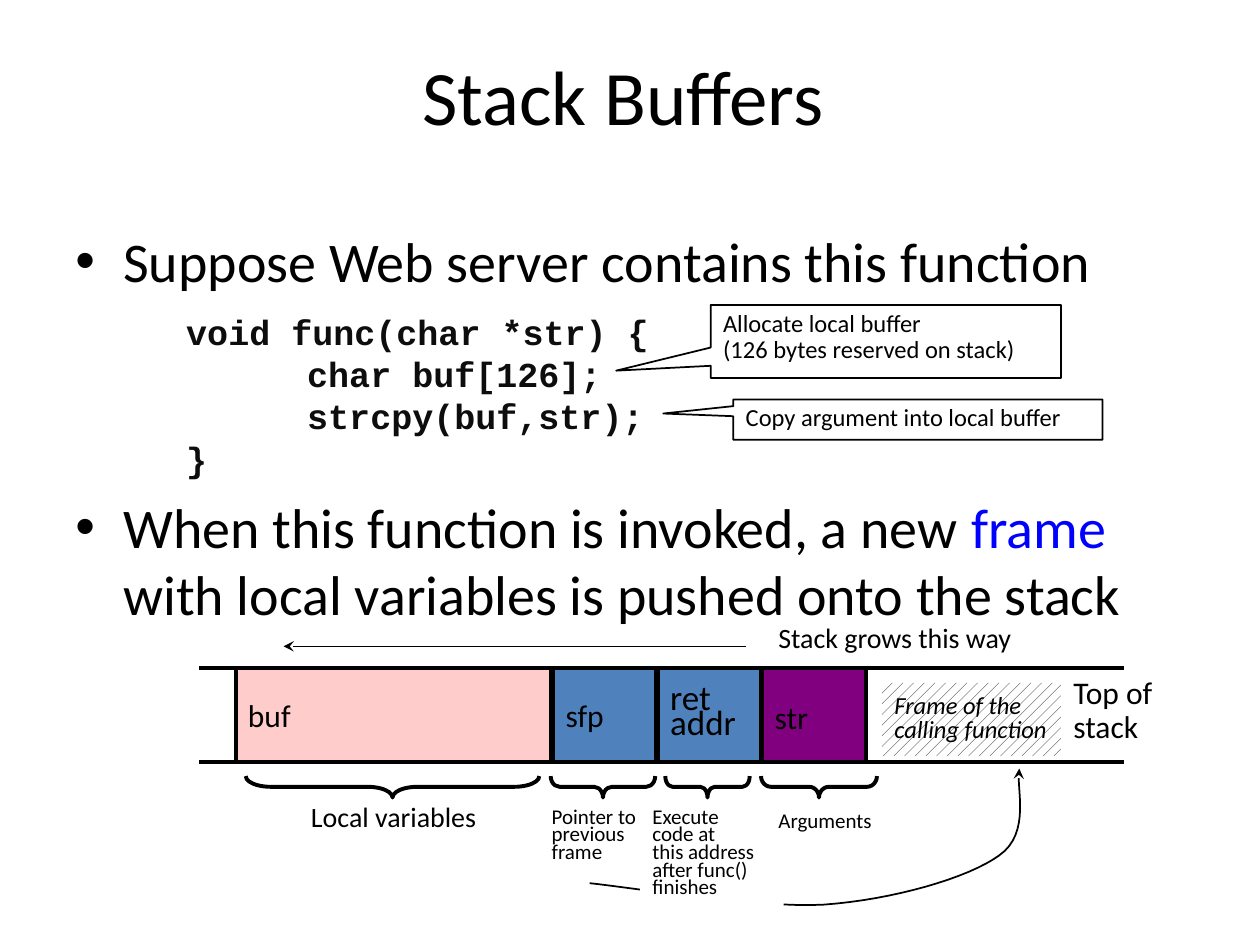
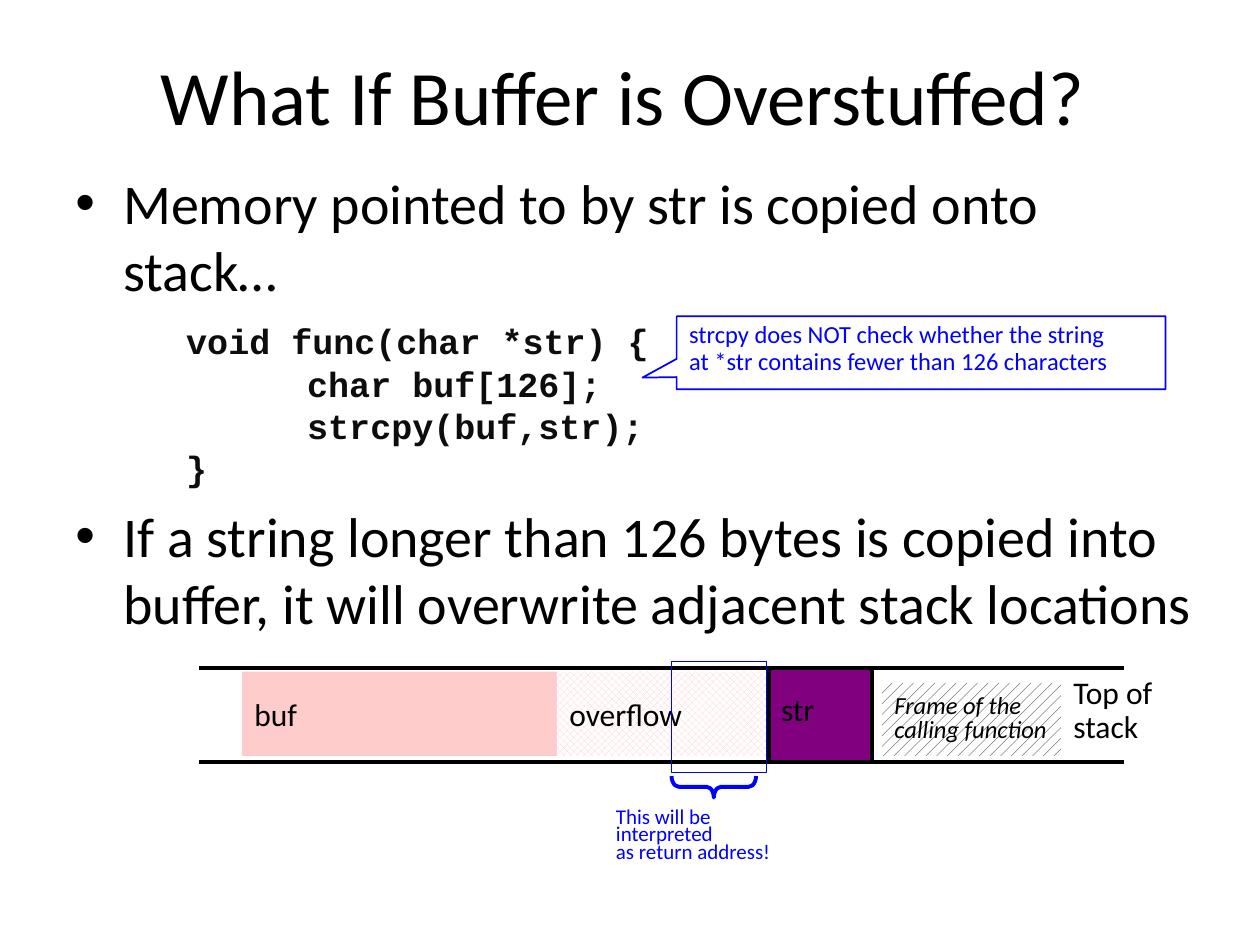
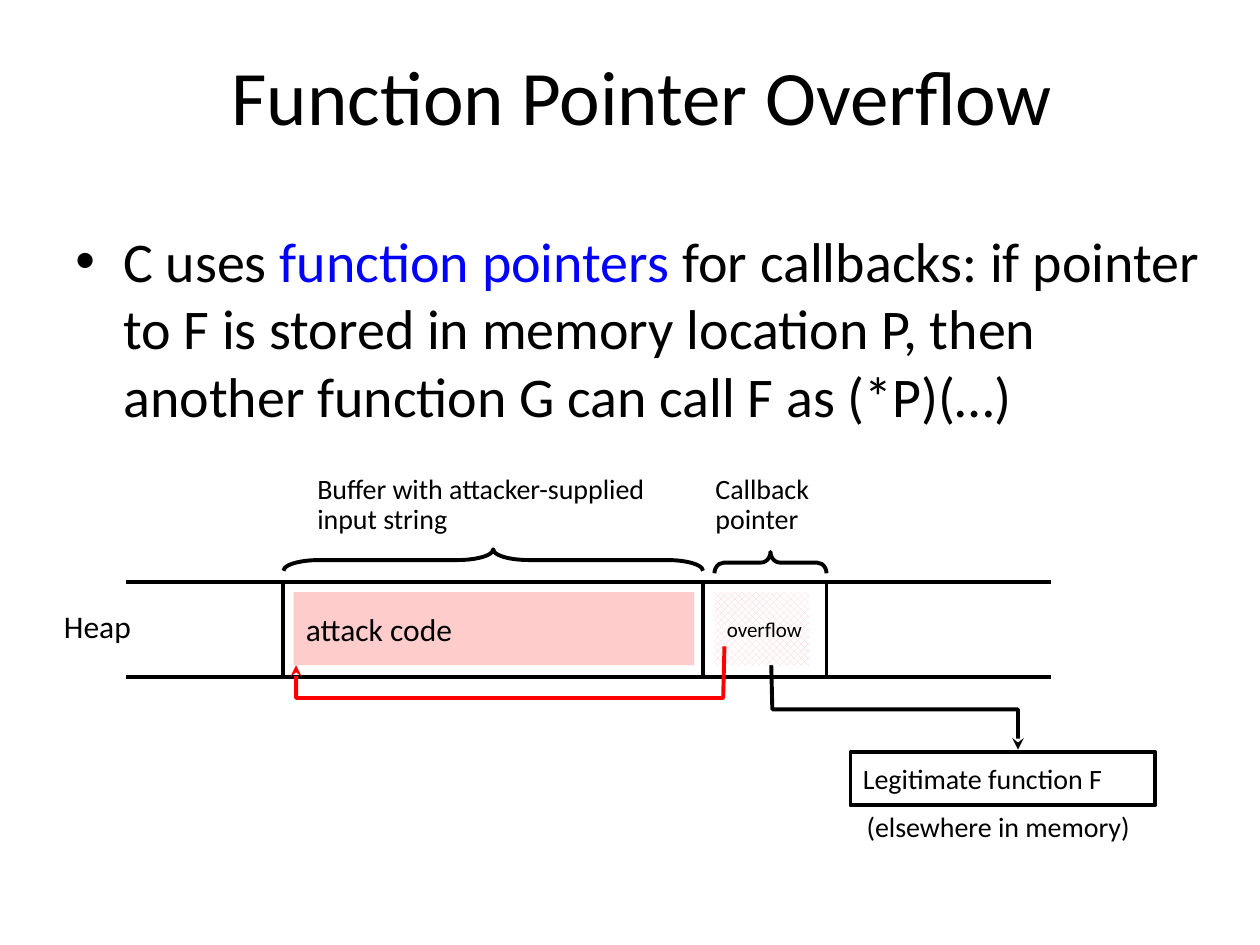
"""Build three slides on stack buffers, buffer overflow and function pointers."""
import dataclasses
import typing

import lxml.etree
import pptx
import pptx.dml.color
import pptx.enum.dml
import pptx.enum.shapes
import pptx.enum.text
import pptx.oxml.ns
import pptx.shapes.base
import pptx.slide
import pptx.util

Inches = pptx.util.Inches
Pt = pptx.util.Pt
qn = pptx.oxml.ns.qn
Shapes = pptx.enum.shapes.MSO_SHAPE
Patterns = pptx.enum.dml.MSO_PATTERN
Anchors = pptx.enum.text.MSO_ANCHOR
AutoSize = pptx.enum.text.MSO_AUTO_SIZE

BLACK, WHITE, BLUE, RED = "000000", "FFFFFF", "0000FF", "FF0000"
CODE_GREY, PINK, STEEL, PURPLE = "0D0D0D", "FFCCCC", "4F81BD", "800080"
BODY_FONT, CODE_FONT = "Calibri", "Courier New"
HEAVY = 2.25
BULLET_SIZE, CODE_SIZE = 32, 20
BULLET_INDENT = 0.38
CODE_INDENT, NESTED_INDENT = 0.88, 1.84
SPACE_BEFORE = 0.24
BRACE_DEPTH = 0.17
MEMORY_TOP, MEMORY_HEIGHT, MEMORY_WIDTH = 5.3, 0.75, 7.34
CELL_WIDTH = 0.82

Point = tuple[float, float]


@dataclasses.dataclass(frozen=True)
class Words:
    """A stretch of text with one look."""
    text: str
    color: str = BLACK
    size: float = BULLET_SIZE
    font: str = BODY_FONT
    bold: bool = False
    italic: bool = False


@dataclasses.dataclass(frozen=True)
class BodyLine:
    """A paragraph of the slide body."""
    words: tuple[Words, ...]
    indent: float = BULLET_INDENT
    spacing: float = 1.0
    bullet: bool = False


@dataclasses.dataclass(frozen=True)
class Label:
    """A text, box or callout of a memory diagram."""
    lines: tuple[str, ...]
    left: float
    top: float
    width: float
    height: float
    size: float = 18
    color: str = BLACK
    spacing: float = 1.0
    italic: bool = False
    fill: str | None = None
    pattern: typing.Any = None
    border: str | None = None
    weight: float = HEAVY
    pointer: Point | None = None
    grow: bool = False


@dataclasses.dataclass(frozen=True)
class Brace:
    """A lying brace, seen as it shows on the slide."""
    left: float
    top: float
    span: float
    color: str = BLACK
    opens_down: bool = False


def bullet(*words: Words) -> BodyLine:
    """Return a bulleted body line."""
    return BodyLine(words, bullet=True)


def code(text: str, indent: float, spacing: float = 0.8) -> BodyLine:
    """Return a line of source code."""
    return BodyLine((Words(text, CODE_GREY, CODE_SIZE, CODE_FONT, bold=True),), indent, spacing)


def caption(lines: tuple[str, ...], left: float, top: float, width: float, height: float,
            size: float = 16, spacing: float = 0.9, **look: typing.Any) -> Label:
    """Return a label that grows with its text."""
    return Label(lines, left, top, width, height, size, spacing=spacing, grow=True, **look)


def cell(lines: tuple[str, ...], left: float, fill: str, width: float = CELL_WIDTH,
         **look: typing.Any) -> Label:
    """Return a bordered cell that fills the height of the stack."""
    return Label(lines, left, MEMORY_TOP, width, MEMORY_HEIGHT, fill=fill, border=BLACK, **look)


FUNCTION_SOURCE = (
    code("void func(char *str) {", CODE_INDENT, 1.2),
    code("char buf[126];", NESTED_INDENT),
    code("strcpy(buf,str);", NESTED_INDENT),
    code("}", CODE_INDENT),
)
CALLING_FRAME = Label(("Frame of the", "calling function"), 7, 5.42, 1.42, 0.58, 14, spacing=0.8,
                      italic=True, fill=WHITE, pattern=(Patterns.PERCENT_20, BLACK))
STACK_TOP = caption(("Top of", "stack"), 8.42, 5.33, 0.91, 0.7, 18)
OVERFLOW_PATTERN = (Patterns.LARGE_CHECKER_BOARD, PINK)


def rgb(color: str) -> pptx.dml.color.RGBColor:
    """Turn a hex string into a colour."""
    return pptx.dml.color.RGBColor.from_string(color)


def add_words(paragraph: typing.Any, words: Words) -> None:
    """Add one formatted run."""
    run = paragraph.add_run()
    run.text = words.text
    run.font.name = words.font
    run.font.size = Pt(words.size)
    run.font.bold = words.bold
    run.font.italic = words.italic
    run.font.color.rgb = rgb(words.color)


def paragraphs(frame: typing.Any, count: int) -> list[typing.Any]:
    """Give a text frame the wanted number of paragraphs."""
    return [frame.paragraphs[0]] + [frame.add_paragraph() for _ in range(count - 1)]


def set_line(shape: typing.Any, color: str, weight: float, arrow: bool = False) -> None:
    """Style an outline, with an arrowhead at its end if asked."""
    shape.line.color.rgb = rgb(color)
    shape.line.width = Pt(weight)
    if arrow:
        outline = shape._element.spPr.find(qn("a:ln"))
        lxml.etree.SubElement(outline, qn("a:tailEnd"), type="stealth")


def add_title(slide: pptx.slide.Slide, text: str, width: float = 9.01) -> None:
    """Add the centred slide title."""
    frame = slide.shapes.add_textbox(Inches(0.44), Inches(0.25), Inches(width), Inches(1)).text_frame
    frame.word_wrap = True
    frame.vertical_anchor = Anchors.MIDDLE
    frame.paragraphs[0].alignment = pptx.enum.text.PP_ALIGN.CENTER
    add_words(frame.paragraphs[0], Words(text, size=44))


def add_body(slide: pptx.slide.Slide, lines: tuple[BodyLine, ...], top: float,
             width: float = 9.17, height: float = 5.08) -> None:
    """Add the bullets and source code of a slide."""
    frame = slide.shapes.add_textbox(Inches(0.5), Inches(top), Inches(width), Inches(height)).text_frame
    frame.word_wrap = True
    for index, (line, paragraph) in enumerate(zip(lines, paragraphs(frame, len(lines)))):
        paragraph.line_spacing = line.spacing
        paragraph.space_before = Pt(round(SPACE_BEFORE * line.words[0].size, 1) if index else 0)
        properties = paragraph._p.get_or_add_pPr()
        properties.set("marL", str(Inches(line.indent)))
        if line.bullet:
            properties.set("indent", str(-Inches(line.indent)))
            lxml.etree.SubElement(properties, qn("a:buFont"), typeface="Arial")
            lxml.etree.SubElement(properties, qn("a:buChar"), char="•")
        for words in line.words:
            add_words(paragraph, words)


def add_label(slide: pptx.slide.Slide, label: Label) -> None:
    """Draw a text, box or callout."""
    place = [Inches(v) for v in (label.left, label.top, label.width, label.height)]
    if label.fill or label.border:
        kind = Shapes.RECTANGULAR_CALLOUT if label.pointer else Shapes.RECTANGLE
        shape = slide.shapes.add_shape(kind, *place)
        shape.shadow.inherit = False
        for index, value in enumerate(label.pointer or ()):
            shape.adjustments[index] = value
        if label.pattern:
            shape.fill.patterned()
            shape.fill.pattern, ink = label.pattern
            shape.fill.fore_color.rgb = rgb(ink)
            shape.fill.back_color.rgb = rgb(label.fill)
        elif label.fill:
            shape.fill.solid()
            shape.fill.fore_color.rgb = rgb(label.fill)
        else:
            shape.fill.background()
        if label.border:
            set_line(shape, label.border, label.weight)
        else:
            shape.line.fill.background()
    else:
        shape = slide.shapes.add_textbox(*place)
    if not label.lines:
        return
    frame = shape.text_frame
    frame.word_wrap = False
    frame.auto_size = AutoSize.SHAPE_TO_FIT_TEXT if label.grow else AutoSize.NONE
    frame.vertical_anchor = Anchors.TOP if label.grow else Anchors.MIDDLE
    for text, paragraph in zip(label.lines, paragraphs(frame, len(label.lines))):
        paragraph.alignment = pptx.enum.text.PP_ALIGN.LEFT
        paragraph.line_spacing = label.spacing
        add_words(paragraph, Words(text, label.color, label.size, italic=label.italic))


def add_brace(slide: pptx.slide.Slide, brace: Brace) -> None:
    """Draw a right brace turned to lie along the memory."""
    shape = slide.shapes.add_shape(
        Shapes.RIGHT_BRACE,
        Inches(brace.left + (brace.span - BRACE_DEPTH) / 2),
        Inches(brace.top - (brace.span - BRACE_DEPTH) / 2),
        Inches(BRACE_DEPTH), Inches(brace.span))
    shape.rotation = 270 if brace.opens_down else 90
    shape.adjustments[0] = brace.span / 2
    shape.shadow.inherit = False
    shape.fill.background()
    set_line(shape, brace.color, HEAVY)


def add_straight(slide: pptx.slide.Slide, start: Point, end: Point,
                 weight: float = HEAVY, arrow: bool = False) -> None:
    """Draw a straight line or arrow."""
    connector = slide.shapes.add_connector(
        pptx.enum.shapes.MSO_CONNECTOR.STRAIGHT, *(Inches(v) for v in start + end))
    set_line(connector, BLACK, weight, arrow)
    lxml.etree.SubElement(connector._element.spPr, qn("a:effectLst"))


def add_route(slide: pptx.slide.Slide, points: list[Point], color: str = BLACK,
              weight: float = HEAVY) -> None:
    """Draw an open route that ends in an arrowhead."""
    corners = [(Inches(x), Inches(y)) for x, y in points]
    builder = slide.shapes.build_freeform(*corners[0])
    builder.add_line_segments(corners[1:], close=False)
    shape = builder.convert_to_shape()
    shape.shadow.inherit = False
    shape.fill.background()
    set_line(shape, color, weight, arrow=True)


def curve(start: Point, *bends: tuple[Point, Point, Point], steps: int = 16) -> list[Point]:
    """Return points along a chain of cubic curves."""
    points = [start]
    for first, second, end in bends:
        origin = points[-1]
        for step in range(1, steps + 1):
            t = step / steps
            weights = ((1 - t) ** 3, 3 * t * (1 - t) ** 2, 3 * t ** 2 * (1 - t), t ** 3)
            stops = (origin, first, second, end)
            points.append((sum(w * p[0] for w, p in zip(weights, stops)),
                           sum(w * p[1] for w, p in zip(weights, stops))))
    return points


def add_memory(slide: pptx.slide.Slide, left: float = 1.58, top: float = MEMORY_TOP) -> None:
    """Draw the two rails of a memory strip."""
    for y in (top, top + MEMORY_HEIGHT):
        add_straight(slide, (left, y), (left + MEMORY_WIDTH, y))


def add_parts(slide: pptx.slide.Slide, *parts: Label | Brace) -> None:
    """Draw labels and braces from back to front."""
    for part in parts:
        if isinstance(part, Brace):
            add_brace(slide, part)
        else:
            add_label(slide, part)


def build_stack_buffers(slide: pptx.slide.Slide) -> None:
    """Show the stack frame of a function."""
    add_route(slide, curve((4.68, 7.01),
                           ((4.99, 7.04), (6, 7.21), (6.54, 7.18)),
                           ((7.09, 7.14), (7.68, 6.97), (7.93, 6.79)),
                           ((8.19, 6.61), (8.06, 6.24), (8.09, 6.1))), weight=1)
    add_title(slide, "Stack Buffers")
    add_body(slide, (
        bullet(Words("Suppose Web server contains this function")),
        *FUNCTION_SOURCE,
        bullet(Words("When this function is invoked, a new "), Words("frame", BLUE),
               Words(" with local variables is pushed onto the stack")),
    ), 1.75)
    add_memory(slide)
    add_straight(slide, (5.92, 5.13), (2.25, 5.13), 1, arrow=True)
    add_parts(
        slide,
        caption(("Allocate local buffer", "(126 bytes reserved on stack)"), 5.64, 2.42, 2.78, 0.58,
                14, border=BLACK, weight=1, pointer=(-0.77, 0.4)),
        caption(("Copy argument into local buffer",), 5.82, 3.17, 2.93, 0.32,
                14, border=BLACK, weight=1, pointer=(-0.69, -0.15)),
        STACK_TOP,
        caption(("Stack grows this way",), 6.08, 4.91, 2.27, 0.34),
        cell(("buf",), 1.87, PINK, 2.5),
        cell(("sfp",), 4.39, STEEL),
        cell(("ret", "addr"), 5.22, STEEL, size=20, spacing=0.6),
        cell(("str",), 6.05, PURPLE, spacing=1.1),
        Brace(1.95, 6.16, 2.33),
        caption(("Local variables",), 2.37, 6.33, 1.64, 0.34),
        Brace(4.37, 6.16, 0.83),
        CALLING_FRAME,
        Brace(5.28, 6.16, 0.67),
        caption(("Execute", "code at", "this address", "after func()", "finishes"),
                5.08, 6.38, 1.14, 0.96, 12, 0.7, fill=WHITE),
        Brace(6.04, 6.16, 0.92),
        caption(("Arguments",), 6.08, 6.38, 1, 0.28, 12),
        caption(("Pointer to", "previous", "frame"), 4.28, 6.38, 0.92, 0.6, 12, 0.7),
    )


def build_overstuffed(slide: pptx.slide.Slide) -> None:
    """Show the buffer running over the return address."""
    add_title(slide, "What If Buffer is Overstuffed?")
    add_body(slide, (
        bullet(Words("Memory pointed to by str is copied onto stack…")),
        *FUNCTION_SOURCE,
        bullet(Words("If a string longer than 126 bytes is copied into buffer, "
                     "it will overwrite adjacent stack locations")),
    ), 1.29)
    add_memory(slide)
    add_parts(
        slide,
        caption(("strcpy does NOT check whether the string",
                 "at *str contains fewer than 126 characters"), 5.37, 2.51, 3.88, 0.58,
                14, color=BLUE, border=BLUE, weight=1, pointer=(-0.57, 0.34)),
        Label(("buf",), 1.92, 5.33, 2.5, 0.67, fill=PINK),
        Brace(5.33, 6.16, 0.67, BLUE),
        caption(("This will be", "interpreted", "as return address!"), 4.79, 6.38, 1.55, 0.6,
                12, 0.7, color=BLUE),
        Label(("overflow",), 4.42, 5.33, 1.83, 0.67, fill=WHITE, pattern=OVERFLOW_PATTERN),
        Label((), 5.33, 5.25, 0.75, 0.88, border=BLUE, weight=0.5),
        STACK_TOP,
        CALLING_FRAME,
        cell(("str",), 6.1, PURPLE, spacing=0.6),
    )


def build_function_pointer(slide: pptx.slide.Slide) -> None:
    """Show a callback pointer redirected to attack code."""
    heap_top = 4.62
    add_body(slide, (
        bullet(Words("C uses "), Words("function pointers", BLUE),
               Words(" for callbacks: if pointer to F is stored in memory location P, "
                     "then another function G can call F as (*P)(…)")),
    ), 1.75, 9.25, 5.58)
    add_title(slide, "Function Pointer Overflow", 9.31)
    add_memory(slide, 1, heap_top)
    add_parts(
        slide,
        Label((), 2.25, heap_top, 3.33, MEMORY_HEIGHT, border=BLACK),
        Brace(2.25, 4.36, 3.33, opens_down=True),
        Label(("attack code",), 2.33, 4.7, 3.18, 0.58, fill=PINK),
        caption(("Buffer with attacker-supplied", "input string"), 2.42, 3.72, 3.1, 0.64),
        Label((), 5.58, heap_top, 0.98, MEMORY_HEIGHT, border=BLACK),
        Brace(5.67, 4.38, 0.89, opens_down=True),
        caption(("Callback", "pointer"), 5.58, 3.72, 1.01, 0.64),
        caption(("Heap",), 0.41, 4.8, 0.77, 0.37, 18),
    )
    add_route(slide, [(6.12, 5.22), (6.13, 5.63), (8.08, 5.63), (8.08, 5.95)])
    add_parts(
        slide,
        Label(("Legitimate function F",), 6.75, 5.97, 2.42, 0.42, 16, border=BLACK),
        Label(("overflow",), 5.67, 4.7, 0.75, 0.58, 12, fill=WHITE, pattern=OVERFLOW_PATTERN),
        caption(("(elsewhere in memory)",), 6.78, 6.38, 2.47, 0.37, spacing=1.0),
    )
    add_route(slide, [(5.75, 5.13), (5.74, 5.54), (2.35, 5.54), (2.35, 5.28)], RED)


def main() -> None:
    """Build and save the presentation."""
    deck = pptx.Presentation()
    deck.slide_width, deck.slide_height = Inches(10), Inches(7.5)
    for build in (build_stack_buffers, build_overstuffed, build_function_pointer):
        build(deck.slides.add_slide(deck.slide_layouts[6]))
    deck.save("out.pptx")


if __name__ == "__main__":
    main()
